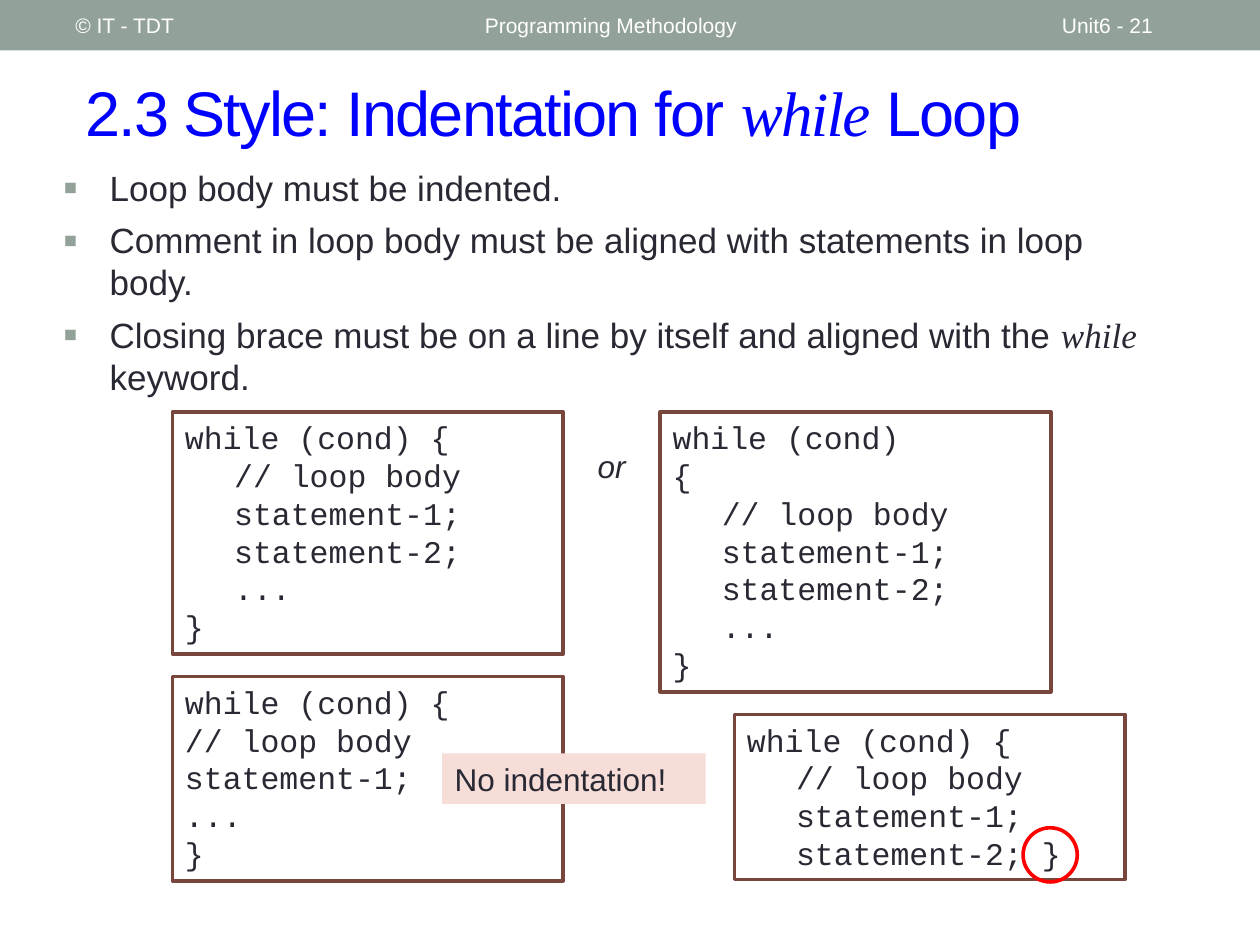
from lxml import etree
from pptx import Presentation
from pptx.dml.color import RGBColor
from pptx.enum.shapes import MSO_SHAPE
from pptx.enum.text import MSO_ANCHOR, MSO_AUTO_SIZE, PP_ALIGN
from pptx.oxml.ns import qn
from pptx.util import Pt

PX = 9144
RECTANGLE, OVAL = MSO_SHAPE.RECTANGLE, MSO_SHAPE.OVAL
TOP, MIDDLE = MSO_ANCHOR.TOP, MSO_ANCHOR.MIDDLE
LEFT, CENTER = PP_ALIGN.LEFT, PP_ALIGN.CENTER
GROW, FIXED = MSO_AUTO_SIZE.SHAPE_TO_FIT_TEXT, MSO_AUTO_SIZE.NONE

WHITE = RGBColor(0xFF, 0xFF, 0xFF)
SAGE = RGBColor(0x93, 0xA2, 0x99)
BLUE = RGBColor(0x00, 0x00, 0xFF)
INK = RGBColor(0x29, 0x29, 0x34)
BROWN = RGBColor(0x79, 0x46, 0x3D)
PINK = RGBColor(0xF6, 0xDD, 0xD8)
RED = RGBColor(0xFF, 0x00, 0x00)

SANS, SERIF, MONO = "Arial", "Times New Roman", "Courier New"

HEADER = [
    ("Programming Methodology", 375, 450),
    ("Unit6 - 21", 833, 117),
    ("© IT - TDT", 50, 317),
]
TITLE = [("2.3 Style: Indentation for ", False), ("while", True), (" Loop", False)]
RULES = [
    [("Loop body must be indented.", False)],
    [("Comment in loop body must be aligned with statements in loop body.", False)],
    [
        ("Closing brace must be on a line by itself and aligned with the ", False),
        ("while", True),
        (" keyword.", False),
    ],
]
BODY = ["\t// loop body", "\tstatement-1;", "\tstatement-2;"]
SAMPLES = [
    ((137, 327, 310, 192), ["while (cond) {", *BODY, "\t...", "}"]),
    ((524, 327, 310, 222), ["while (cond)", "{", *BODY, "\t...", "}"]),
    (
        (137, 537, 310, 162),
        ["while (cond) {", "// loop body", "statement-1;", "...", "}"],
    ),
    ((583, 567, 310, 131), ["while (cond) {", *BODY[:2], "\tstatement-2; }"]),
]


def scale(box):
    """Turn a px box into EMU lengths."""
    return [length * PX for length in box]


def place(shape, box):
    """Move a placeholder to a px box."""
    shape.left, shape.top, shape.width, shape.height = scale(box)


def add_span(para, text, size, color, font=SANS, italic=False):
    """Append one formatted run to a paragraph."""
    span = para.add_run()
    span.text = text
    span.font.name = font
    span.font.size = Pt(size)
    span.font.color.rgb = color
    span.font.italic = italic
    return span


def set_frame(frame, anchor=TOP, fit=FIXED):
    """Set wrapping, anchoring and fitting of a text frame."""
    frame.word_wrap = True
    frame.vertical_anchor = anchor
    frame.auto_size = fit


def next_para(frame, index):
    """Return the paragraph at the end of a frame being filled."""
    return frame.add_paragraph() if index else frame.paragraphs[0]


def add_block(page, box, kind=RECTANGLE, fill=None, line=None):
    """Add a flat preset shape."""
    block = page.shapes.add_shape(kind, *scale(box))
    block.shadow.inherit = False
    if fill is None:
        block.fill.background()
    else:
        block.fill.solid()
        block.fill.fore_color.rgb = fill
    if line is None:
        block.line.fill.background()
    else:
        block.line.color.rgb = line
        block.line.width = Pt(2.08)
    return block


def add_header(page, box):
    """Draw the top band with its three captions."""
    left, top, _, height = box
    add_block(page, box, fill=SAGE)
    for text, offset, width in HEADER:
        caption = page.shapes.add_textbox(
            *scale((left + offset, top + 2, width, height - 4))
        )
        set_frame(caption.text_frame, MIDDLE)
        add_span(caption.text_frame.paragraphs[0], text, 12, WHITE)


def fill_title(title, box):
    """Write the slide title."""
    place(title, box)
    set_frame(title.text_frame, MIDDLE)
    para = title.text_frame.paragraphs[0]
    para.alignment = LEFT
    for text, keyword in TITLE:
        font = SERIF if keyword else SANS
        span = add_span(para, text, 36, BLUE, font, keyword)
        span.font._element.set("spc", "-100")


def add_bullet(para):
    """Give a paragraph a hanging square bullet."""
    props = para._p.get_or_add_pPr()
    props.set("marL", str(37 * PX))
    props.set("indent", str(-37 * PX))
    color = etree.SubElement(props, qn("a:buClr"))
    etree.SubElement(color, qn("a:srgbClr"), val=str(SAGE))
    etree.SubElement(props, qn("a:buSzPct"), val="120000")
    etree.SubElement(props, qn("a:buFont"), typeface=SANS)
    etree.SubElement(props, qn("a:buChar"), char="▪")


def fill_rules(body, box):
    """Write the bulleted style rules."""
    place(body, box)
    set_frame(body.text_frame)
    for index, rule in enumerate(RULES):
        para = next_para(body.text_frame, index)
        add_bullet(para)
        para.space_before = Pt(6 if index else 0)
        for text, keyword in rule:
            add_span(para, text, 20, INK, SERIF if keyword else SANS, keyword)


def add_code(page, box, lines):
    """Draw a framed code sample."""
    frame = add_block(page, box, fill=WHITE, line=BROWN).text_frame
    set_frame(frame, fit=GROW)
    for index, line in enumerate(lines):
        para = next_para(frame, index)
        para.alignment = LEFT
        tabs = etree.SubElement(para._p.get_or_add_pPr(), qn("a:tabLst"))
        for stop in (39, 79):
            etree.SubElement(tabs, qn("a:tab"), pos=str(stop * PX), algn="l")
        add_span(para, line, 18, INK, MONO)


def add_label(page, box, text, fill=None, align=LEFT, italic=False):
    """Add a one-line remark."""
    frame = add_block(page, box, fill=fill).text_frame
    set_frame(frame, fit=GROW)
    para = frame.paragraphs[0]
    para.alignment = align
    add_span(para, text, 18, INK, italic=italic)


def main():
    """Build and save the deck."""
    deck = Presentation()
    deck.slide_width, deck.slide_height = 1000 * PX, 750 * PX
    page = deck.slides.add_slide(deck.slide_layouts[1])
    add_header(page, (0, 0, 1000, 40))
    fill_title(page.shapes.title, (58, 42, 917, 92))
    fill_rules(page.placeholders[1], (40, 127, 892, 200))
    for box, lines in SAMPLES:
        add_code(page, box, lines)
    add_label(page, (447, 350, 77, 40), "or", align=CENTER, italic=True)
    add_label(page, (351, 598, 209, 40), "No indentation!", fill=PINK)
    add_block(page, (812, 657, 43, 43), OVAL, line=RED)
    deck.save("out.pptx")


if __name__ == "__main__":
    main()
